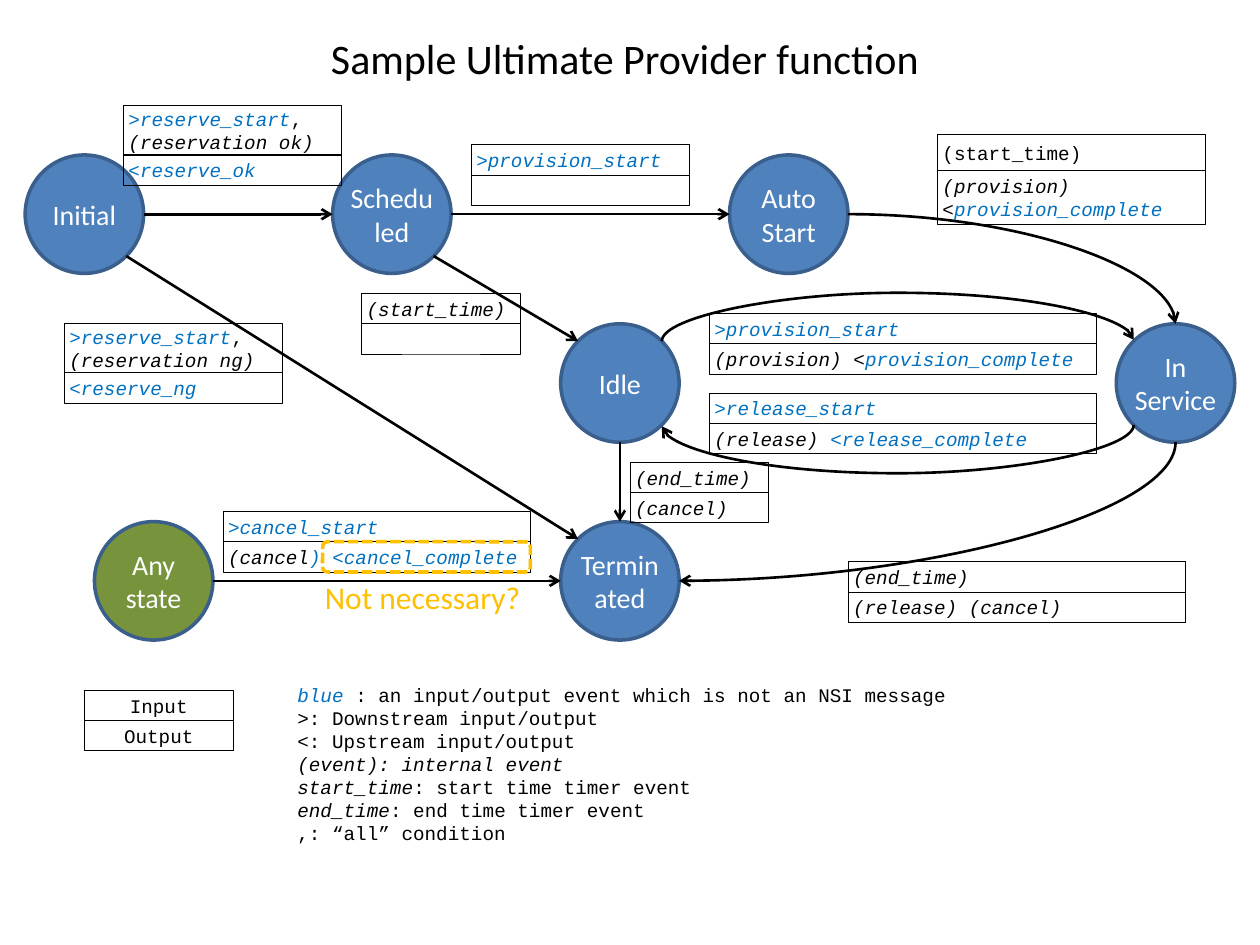
"""Build the provider state machine slide."""
from dataclasses import dataclass
from math import cos, radians, sin

from lxml.etree import SubElement
from pptx import Presentation
from pptx.dml.color import RGBColor as Color
from pptx.enum.dml import MSO_LINE as Dash
from pptx.enum.shapes import MSO_CONNECTOR as Wire, MSO_SHAPE as Shape
from pptx.enum.text import MSO_ANCHOR as Anchor, PP_ALIGN as Align
from pptx.oxml.ns import qn
from pptx.util import Inches, Pt


@dataclass(frozen=True)
class Theme:
    """Colours, fonts and type sizes of the slide."""
    black: Color = Color(0x00, 0x00, 0x00)
    white: Color = Color(0xFF, 0xFF, 0xFF)
    event: Color = Color(0x00, 0x70, 0xC0)
    state: Color = Color(0x4F, 0x81, 0xBD)
    any_state: Color = Color(0x77, 0x93, 0x3C)
    outline: Color = Color(0x3A, 0x5F, 0x8C)
    remark: Color = Color(0xFF, 0xC0, 0x00)
    sans: str = "Calibri"
    mono: str = "Courier New"
    title_size: int = 24
    remark_size: int = 18
    state_size: int = 16
    code_size: int = 11


THEME = Theme()
DIAMETER = 0.94
ROW = 0.24
BOW_RISE = 0.01
BOW_DEPTH = 0.39
RIGHT, LOWER_RIGHT, BOTTOM, LOWER_LEFT, LEFT, UPPER_LEFT, TOP, UPPER_RIGHT = range(0, 360, 45)


def plain(text):
    """Describe an upright black span."""
    return text, THEME.black, False


def internal(text):
    """Describe an italic black span."""
    return text, THEME.black, True


def event(text):
    """Describe an italic blue span."""
    return text, THEME.event, True


def write(para, text, color, italic=False, font=THEME.mono, size=THEME.code_size):
    """Add one formatted run to a paragraph."""
    span = para.add_run()
    span.text = text
    span.font.name = font
    span.font.size = Pt(size)
    span.font.color.rgb = color
    span.font.italic = italic


def set_frame(box, side=0.1, edge=0.05, anchor=Anchor.TOP, wrap=True):
    """Set insets, anchor and wrapping, and return the text frame."""
    frame = box.text_frame
    frame.margin_left = frame.margin_right = Inches(side)
    frame.margin_top = frame.margin_bottom = Inches(edge)
    frame.vertical_anchor = anchor
    frame.word_wrap = wrap
    return frame


def add_paragraphs(frame, count, align=Align.LEFT):
    """Yield the given number of aligned paragraphs."""
    for index in range(count):
        para = frame.add_paragraph() if index else frame.paragraphs[0]
        para.alignment = align
        yield para


def add_outline(shapes, kind, place, color, width, fill=None):
    """Add a preset shape with a plain outline and an optional fill."""
    box = shapes.add_shape(kind, *map(Inches, place))
    box.shadow.inherit = False
    box.line.color.rgb = color
    box.line.width = Pt(width)
    if fill is None:
        box.fill.background()
    else:
        box.fill.solid()
        box.fill.fore_color.rgb = fill
    return box


def add_title(page, text):
    """Place and fill the title."""
    box = page.shapes.title
    box.left, box.top, box.width, box.height = map(Inches, (2.5, 0.21, 4.92, 0.5))
    frame = set_frame(box, wrap=False)
    for para in add_paragraphs(frame, 1, Align.CENTER):
        write(para, text, THEME.black, font=THEME.sans, size=THEME.title_size)


def add_state(page, left, top, *lines, fill=THEME.state):
    """Add a state circle and return its centre."""
    place = (left, top, DIAMETER, DIAMETER)
    circle = add_outline(page.shapes, Shape.OVAL, place, THEME.outline, 2, fill)
    frame = set_frame(circle, 0, 0, Anchor.MIDDLE)
    for para, line in zip(add_paragraphs(frame, len(lines), Align.CENTER), lines):
        write(para, line, THEME.white, font=THEME.sans, size=THEME.state_size)
    return left + DIAMETER / 2, top + DIAMETER / 2


def add_label(page, left, top, width, *rows, heights=(ROW, ROW), align=Align.LEFT):
    """Add a grouped pair of boxes with the input above the output."""
    group = page.shapes.add_group_shape()
    for spans, height in zip(rows, heights):
        box = add_outline(group.shapes, Shape.RECTANGLE, (left, top, width, height), THEME.black, 0.5)
        frame = set_frame(box, 0.04, 0, Anchor.MIDDLE)
        for para in add_paragraphs(frame, 1, align):
            for span in spans:
                write(para, *span)
        top += height


def rim(center, angle):
    """Return the point of a state circle at a clockwise angle."""
    turn = radians(angle)
    return center[0] + DIAMETER / 2 * cos(turn), center[1] + DIAMETER / 2 * sin(turn)


def add_arrow(page, begin, end, kind=Wire.STRAIGHT):
    """Add a black line with an open arrowhead at its end."""
    arrow = page.shapes.add_connector(kind, *map(Inches, (*begin, *end)))
    arrow.line.color.rgb = THEME.black
    arrow.line.width = Pt(1.5)
    SubElement(arrow.line._get_or_add_ln(), qn("a:tailEnd"), type="arrow")
    SubElement(arrow.element.spPr, qn("a:effectLst"))
    return arrow


def set_curve(arrow, preset, bend=None):
    """Choose the curve preset and how far it bends."""
    geometry = arrow.element.spPr.find(qn("a:prstGeom"))
    geometry.set("prst", preset)
    if bend is not None:
        guides = geometry.find(qn("a:avLst"))
        SubElement(guides, qn("a:gd"), name="adj1", fmla=f"val {round(bend * 100000)}")


def add_turned_curve(page, begin, end):
    """Add a curve that leaves its begin point vertically."""
    middle_x, middle_y = (begin[0] + end[0]) / 2, (begin[1] + end[1]) / 2
    across, down = begin[0] - middle_x, begin[1] - middle_y
    arrow = add_arrow(page, (middle_x + down, middle_y - across),
                      (middle_x - down, middle_y + across), Wire.CURVE)
    arrow.element.spPr.find(qn("a:xfrm")).set("rot", "5400000")
    return arrow


def add_bow(page, begin, end):
    """Add a bow above rightward moves and below leftward ones."""
    rise = -BOW_RISE if begin[0] < end[0] else BOW_RISE
    arrow = add_turned_curve(page, begin, (end[0], begin[1] + rise))
    set_curve(arrow, "curvedConnector3", BOW_DEPTH / BOW_RISE)


def add_legend(page):
    """Explain the notation of the labels."""
    lines = [
        [event("blue"), plain(" : an input/output event which is not an NSI message")],
        [plain(">: Downstream input/output")],
        [plain("<: Upstream input/output")],
        [internal("(event): internal event")],
        [internal("start_time"), plain(": start time timer event")],
        [internal("end_time"), plain(": end time timer event")],
        [plain(",: “all” condition")],
    ]
    box = page.shapes.add_textbox(*map(Inches, (2.32, 5.42, 6.93, 1.3)))
    frame = set_frame(box, 0.04, 0)
    for para, spans in zip(add_paragraphs(frame, len(lines)), lines):
        for span in spans:
            write(para, *span)


def add_remark(page):
    """Mark the doubtful output event."""
    mark = add_outline(page.shapes, Shape.ROUNDED_RECTANGLE, (2.56, 4.3, 1.65, ROW), THEME.remark, 2)
    mark.line.dash_style = Dash.SQUARE_DOT
    frame = set_frame(page.shapes.add_textbox(*map(Inches, (2.48, 4.54, 1.81, 0.4))))
    write(frame.paragraphs[0], "Not necessary?", THEME.remark, font=THEME.sans, size=THEME.remark_size)


def add_transitions(page):
    """Add the states and the arrows between them."""
    initial = add_state(page, 0.2, 1.23, "Initial")
    scheduled = add_state(page, 2.64, 1.23, "Scheduled")
    idle = add_state(page, 4.45, 2.57, "Idle")
    service = add_state(page, 8.86, 2.57, "In", "Service")
    auto = add_state(page, 5.79, 1.23, "Auto", "Start")
    ended = add_state(page, 4.45, 4.14, "Terminated")
    anything = add_state(page, 0.75, 4.14, "Any", "state", fill=THEME.any_state)
    for source, leave, target, arrive in (
            (initial, RIGHT, scheduled, LEFT), (scheduled, LOWER_RIGHT, idle, UPPER_LEFT),
            (idle, BOTTOM, ended, TOP), (initial, LOWER_RIGHT, ended, UPPER_LEFT),
            (anything, RIGHT, ended, LEFT)):
        add_arrow(page, rim(source, leave), rim(target, arrive))
    add_arrow(page, rim(scheduled, RIGHT), rim(auto, LEFT), Wire.CURVE)
    add_bow(page, rim(idle, UPPER_RIGHT), rim(service, UPPER_LEFT))
    add_bow(page, rim(service, LOWER_LEFT), rim(idle, LOWER_RIGHT))
    start = add_arrow(page, rim(auto, RIGHT), rim(service, TOP), Wire.CURVE)
    finish = add_turned_curve(page, rim(service, BOTTOM), rim(ended, RIGHT))
    for arrow in (start, finish):
        set_curve(arrow, "curvedConnector2")


def add_labels(page):
    """Add the input and output of every transition."""
    provision = [internal("(provision) <"), event("provision_complete")]
    add_label(page, 3.74, 1.15, 1.73, [event(">provision_start")], [])
    add_label(page, 7.44, 1.07, 2.13, [plain("(start_time)")], provision, heights=(0.28, 0.43))
    add_label(page, 5.63, 2.49, 3.07, [event(">provision_start")], provision)
    add_label(page, 5.63, 3.12, 3.07, [event(">release_start")],
              [internal("(release) "), event("<release_complete")])
    for left, top, result in ((0.98, 0.84, "ok"), (0.51, 2.57, "ng")):
        add_label(page, left, top, 1.73,
                  [event(">reserve_start"), plain(", "), internal(f"(reservation {result})")],
                  [event(f"<reserve_{result}")], heights=(0.39, ROW))
    add_label(page, 2.87, 2.33, 1.26, [internal("(start_time)")], [])
    add_label(page, 5, 3.67, 1.1, [internal("(end_time)")], [internal("(cancel)")])
    add_label(page, 6.73, 4.46, 2.68, [internal("(end_time)")], [internal("(release) (cancel)")])
    add_label(page, 1.77, 4.06, 2.44, [event(">cancel_start")],
              [internal("(cancel"), event(") <cancel_complete")])
    add_label(page, 0.67, 5.48, 1.18, [plain("Input")], [plain("Output")], align=Align.CENTER)


def main():
    """Build and save the deck."""
    deck = Presentation()
    deck.slide_width, deck.slide_height = Inches(10), Inches(7.5)
    page = deck.slides.add_slide(deck.slide_layouts[5])
    add_title(page, "Sample Ultimate Provider function")
    add_transitions(page)
    add_labels(page)
    add_legend(page)
    add_remark(page)
    deck.save("out.pptx")


if __name__ == "__main__":
    main()
